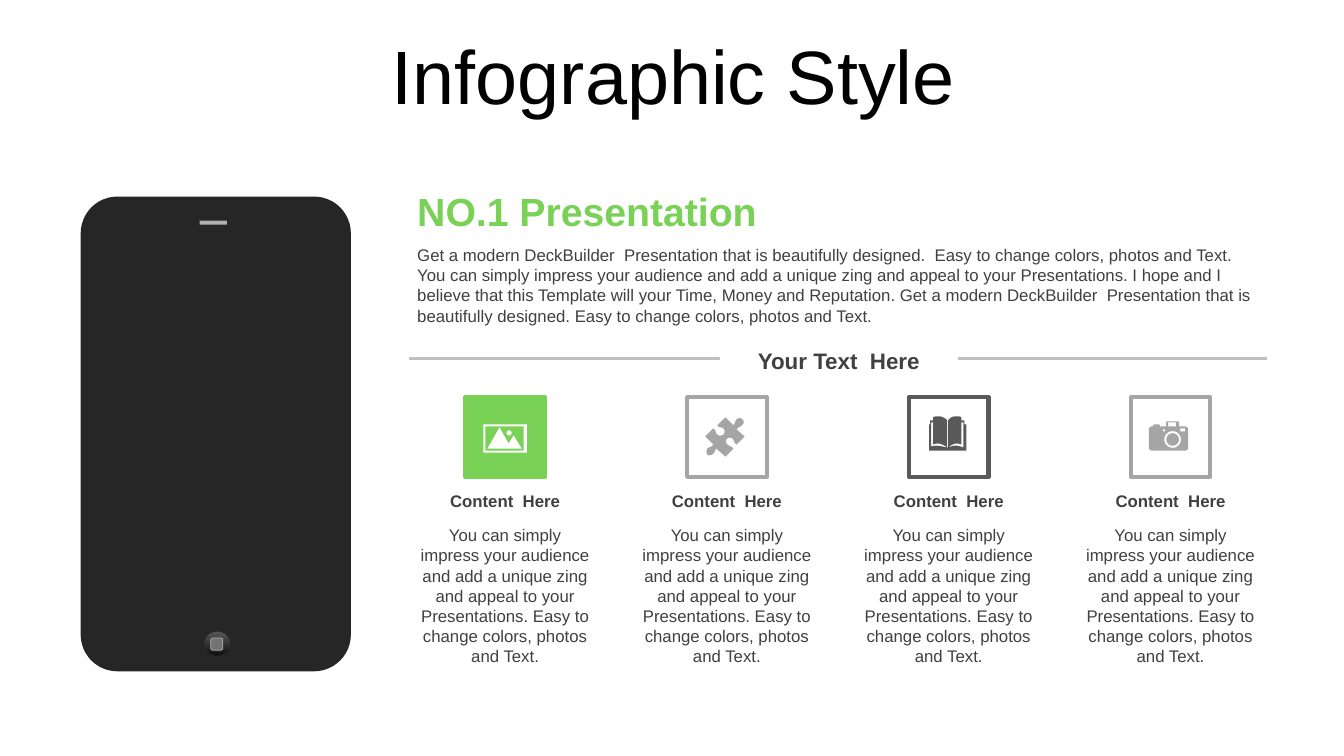
from math import cos, pi, sin

from lxml import etree
from pptx import Presentation
from pptx.dml.color import RGBColor
from pptx.enum.shapes import MSO_CONNECTOR, MSO_SHAPE as SHAPE
from pptx.enum.text import MSO_ANCHOR as ANCHOR, MSO_AUTO_SIZE as AUTO, PP_ALIGN as ALIGN
from pptx.oxml.ns import qn
from pptx.util import Inches, Pt

GREEN, GREY, DARK_GREY, TEXT, WHITE = "79D155", "A5A5A5", "595959", "404040", "FFFFFF"
TILE = 0.79

INTRO = (
    "Get a modern DeckBuilder  Presentation that is beautifully designed.  Easy to change colors, "
    "photos and Text. You can simply impress your audience and add a unique zing and appeal to your "
    "Presentations. I hope and I believe that this Template will your Time, Money and Reputation. "
    "Get a modern DeckBuilder  Presentation that is beautifully designed. Easy to change colors, "
    "photos and Text."
)
CONTENT = (
    "You can simply impress your audience and add a unique zing and appeal to your Presentations. "
    "Easy to change colors, photos and Text."
)


def color(code):
    """Turn a hex string into a colour."""
    return RGBColor.from_string(code)


def rectangle(left, top, right, bottom):
    """Return the corners of a rectangle."""
    return [(left, top), (right, top), (right, bottom), (left, bottom)]


def circle(x, y, radius, steps=32):
    """Return points around a circle."""
    angles = [2 * pi * step / steps for step in range(steps)]
    return [(x + radius * cos(a), y + radius * sin(a)) for a in angles]


def flatten(outline, steps=8):
    """Sample the curves (six numbers) of an outline into points."""
    points = []
    for node in outline:
        if len(node) == 2:
            points.append(node)
            continue
        controls = [points[-1], node[:2], node[2:4], node[4:]]
        for step in range(1, steps + 1):
            t = step / steps
            weights = ((1 - t) ** 3, 3 * t * (1 - t) ** 2, 3 * t * t * (1 - t), t ** 3)
            points.append(tuple(sum(w * c[axis] for w, c in zip(weights, controls))
                                for axis in (0, 1)))
    return points


PHOTO = [
    rectangle(18, 27, 61, 55), rectangle(20, 29, 58, 53), circle(43.5, 35.5, 2.5),
    [(34, 30), (43, 46), (48, 38), (56, 51), (22, 51)],
]
PUZZLE = [[
    (55, 22), (56, 23, 57, 26, 55, 27), (53, 30, 51, 29, 49, 32), (57, 39), (49, 47),
    (46, 45, 47, 43, 45, 41), (43, 40, 41, 40, 40, 41), (38, 42, 38, 45, 40, 47),
    (42, 49, 43, 48, 46, 51), (38, 59), (29, 51), (27, 53, 28, 54, 26, 56),
    (24, 58, 21, 58, 20, 57), (19, 55, 19, 53, 20, 51), (22, 49, 24, 50, 26, 47),
    (18, 39), (26, 31), (29, 33, 28, 36, 30, 37), (32, 39, 34, 38, 36, 37),
    (37, 36, 38, 33, 36, 31), (33, 29, 32, 31, 30, 28), (38, 20), (46, 28),
    (48, 25, 47, 25, 49, 22), (51, 20, 54, 21, 55, 22),
]]
BOOK = [[
    (38, 50), (39, 50), (44, 48, 47, 47, 54, 50), (54, 25), (52, 25), (52, 47),
    (48, 45, 43, 46, 39, 50), (39, 23), (41, 20, 44, 19, 47, 19), (49, 19, 50, 19, 52, 20),
    (52, 23), (55, 23), (55, 27), (57, 27), (57, 53), (20, 53), (20, 27), (21, 27), (21, 23),
    (24, 23), (24, 20), (26, 19, 28, 19, 29, 19), (32, 19, 35, 20, 38, 23), (38, 50),
    (33, 46, 28, 45, 24, 47), (24, 25), (22, 25), (22, 49), (28, 47, 32, 49, 38, 50),
]]
CAMERA = [
    [(36, 24), (47, 24), (48, 25), (48, 29), (54, 29), (55, 29, 57, 30, 57, 32), (57, 50),
     (57, 52, 55, 53, 54, 53), (21, 53), (20, 53, 18, 52, 18, 50), (18, 32),
     (18, 30, 20, 29, 21, 29), (22, 29), (22, 28), (23, 27), (28, 27), (29, 28), (29, 29),
     (35, 29), (35, 25)],
    circle(41.5, 42, 8.3), circle(41.5, 42, 6.2), rectangle(32, 32, 34, 34),
    rectangle(49, 31, 54, 34), rectangle(37, 25, 45, 29),
]
COLUMNS = [
    (PHOTO, GREEN, GREEN, WHITE), (PUZZLE, WHITE, GREY, GREY),
    (BOOK, WHITE, DARK_GREY, DARK_GREY), (CAMERA, WHITE, GREY, GREY),
]


def add_block(slide, kind, box, fill, line=None, width=0):
    """Add a preset shape with a plain fill and an optional outline."""
    block = slide.shapes.add_shape(kind, *map(Inches, box))
    block.shadow.inherit = False
    block.fill.solid()
    block.fill.fore_color.rgb = color(fill)
    if line:
        block.line.color.rgb = color(line)
        block.line.width = Pt(width)
    else:
        block.line.fill.background()
    return block


def write(shape, words, size, ink=TEXT, bold=False, align=ALIGN.LEFT):
    """Write one paragraph into a shape and return it."""
    frame = shape.text_frame
    frame.word_wrap = True
    frame.auto_size = AUTO.SHAPE_TO_FIT_TEXT
    frame.vertical_anchor = ANCHOR.TOP
    paragraph = frame.paragraphs[0]
    paragraph.alignment = align
    run = paragraph.add_run()
    run.text = words
    run.font.name, run.font.size, run.font.bold = "Arial", Pt(size), bold
    run.font.color.rgb = color(ink)
    return paragraph


def add_words(slide, box, words, size, **style):
    """Add a text box holding one paragraph."""
    label = slide.shapes.add_textbox(*map(Inches, box))
    write(label, words, size, **style)
    return label


def add_icon(slide, left, top, outlines, fill):
    """Draw outlines, in hundredths of an inch, from the given corner."""
    builder = None
    for outline in outlines:
        points = [(10 * x, 10 * y) for x, y in flatten(outline)]
        if builder is None:
            builder = slide.shapes.build_freeform(*points[0], scale=Inches(1) / 1000)
        else:
            builder.move_to(*points[0])
        builder.add_line_segments(points[1:], close=True)
    icon = builder.convert_to_shape(Inches(left), Inches(top))
    icon.shadow.inherit = False
    icon.fill.solid()
    icon.fill.fore_color.rgb = color(fill)
    icon.line.fill.background()


def add_title(slide, left, top, width, height):
    """Add the slide heading."""
    title = add_words(slide, (left, top, width, height), "Infographic Style", 54,
                      ink="000000", align=ALIGN.CENTER)
    title.text_frame.auto_size = AUTO.NONE
    title.text_frame.vertical_anchor = ANCHOR.MIDDLE
    title.text_frame.margin_top = Inches(0.1)
    title.text_frame.paragraphs[0].line_spacing = 0.9


def add_phone(slide, left, top, width, height):
    """Draw the phone with its speaker and home button."""
    body = add_block(slide, SHAPE.ROUNDED_RECTANGLE, (left, top, width, height), "262626")
    body.adjustments[0] = 0.136
    add_block(slide, SHAPE.RECTANGLE, (left + 1.18, top + 0.24, 0.27, 0.04), "B0B0B0")
    button = add_block(slide, SHAPE.OVAL, (left + 1.22, top + 4.31, 0.27, 0.25),
                       "0F0F0F", "262626")
    button.fill.gradient()
    button.fill.gradient_angle = 90
    for stop, shade, position in zip(button.fill.gradient_stops, ("0F0F0F", DARK_GREY), (0, 1)):
        stop.color.rgb = color(shade)
        stop.position = position
    add_block(slide, SHAPE.ROUNDED_RECTANGLE, (left + 1.29, top + 4.38, 0.12, 0.12),
              "737373", "B0B0B0", 0.5)


def add_intro(slide, left, top, width):
    """Add the green heading, its paragraph and the divider."""
    add_words(slide, (left, top, width, 0.57), "NO.1 Presentation", 28, ink=GREEN, bold=True)
    add_words(slide, (left, top + 0.57, width, 0.9), INTRO, 12)
    rule = top + 1.75
    ends = (left + 0.02, rule, left + width - 0.03, rule)
    divider = slide.shapes.add_connector(MSO_CONNECTOR.STRAIGHT, *map(Inches, ends))
    divider.line.color.rgb = color("BFBFBF")
    divider.line.width = Pt(2)
    etree.SubElement(divider._element.spPr, qn("a:effectLst"))
    caption = add_block(slide, SHAPE.RECTANGLE, (left + 3.1, top + 1.58, 2.36, 0.37), WHITE)
    write(caption, "Your Text  Here", 16, bold=True, align=ALIGN.CENTER)


def add_column(slide, left, top, width, icon, fill, line, ink):
    """Add one icon tile with its heading and text."""
    tile_left = left + (width - TILE) / 2
    add_block(slide, SHAPE.RECTANGLE, (tile_left, top, TILE, TILE), fill, line, 3)
    add_icon(slide, tile_left, top, icon, ink)
    add_words(slide, (left, top + 0.88, width, 0.3), "Content  Here", 12,
              bold=True, align=ALIGN.CENTER)
    add_words(slide, (left, top + 1.22, width, 1.5), CONTENT, 12, align=ALIGN.CENTER)


def main():
    """Build and save the slide."""
    deck = Presentation()
    deck.slide_width, deck.slide_height = Inches(13.33), Inches(7.5)
    slide = deck.slides.add_slide(deck.slide_layouts[6])
    add_phone(slide, 0.8, 1.95, 2.68, 4.71)
    add_title(slide, 0.35, 0.37, 12.66, 0.79)
    add_intro(slide, 4.04, 1.81, 8.56)
    for index, column in enumerate(COLUMNS):
        add_column(slide, 4.04 + 2.2 * index, 3.94, 1.94, *column)
    deck.save("out.pptx")


if __name__ == "__main__":
    main()
